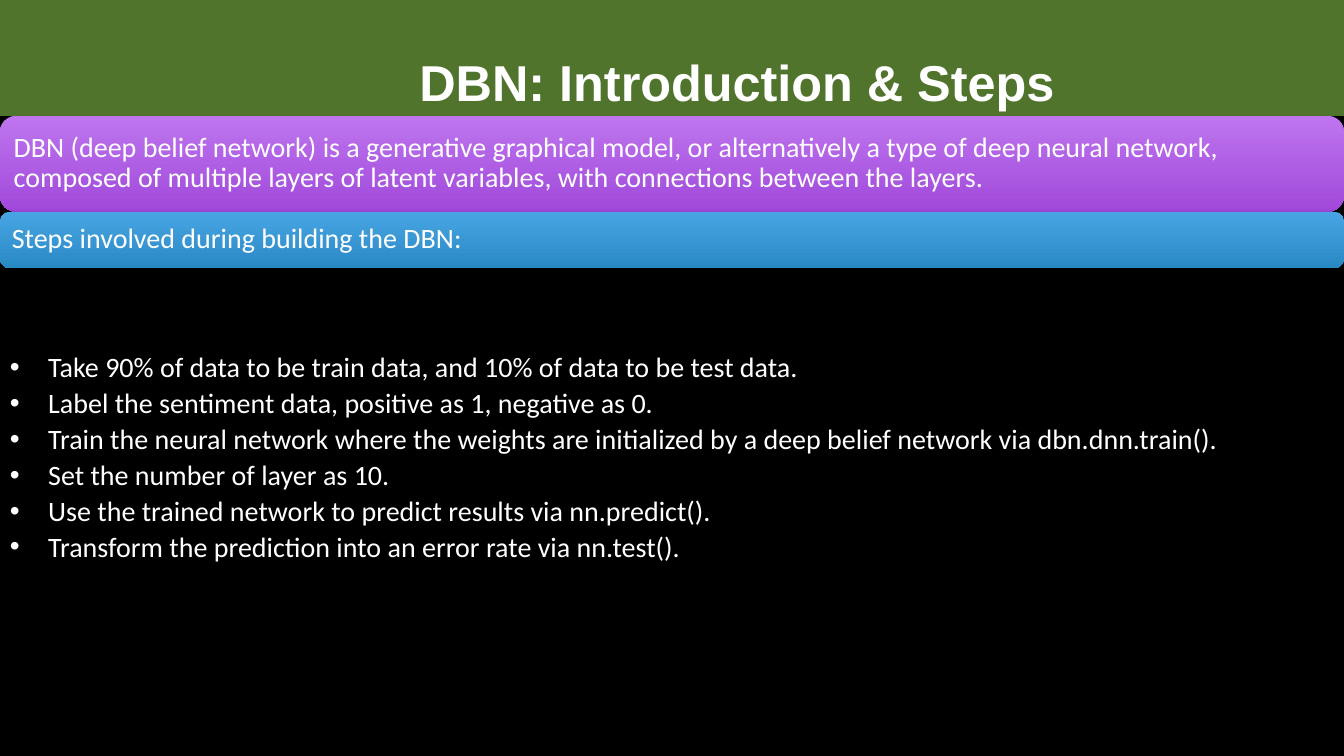
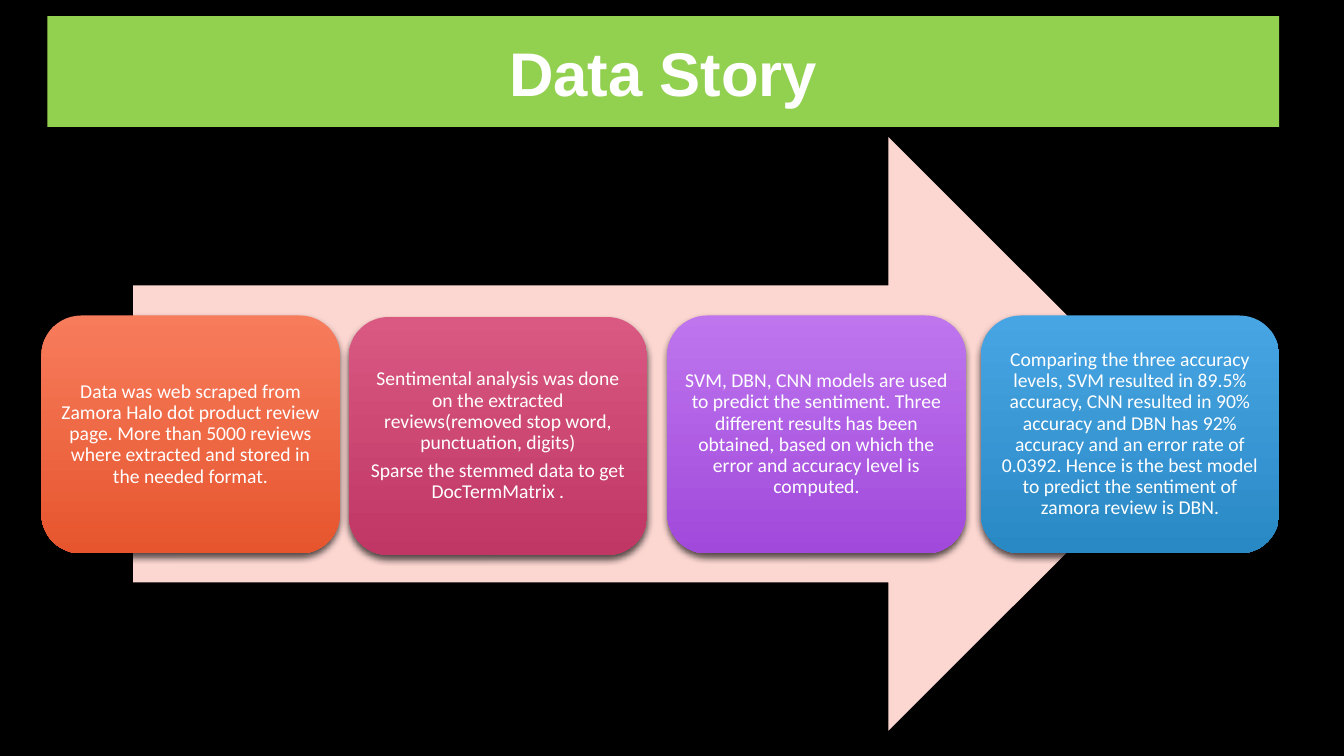
import pptx
import pptx.util
import pptx.dml.color
import pptx.enum.shapes
import pptx.enum.text
import pptx.oxml
import pptx.oxml.ns

Pt = pptx.util.Pt
Inches = pptx.util.Inches
RGB = pptx.dml.color.RGBColor.from_string
SHAPE = pptx.enum.shapes.MSO_SHAPE
ALIGN = pptx.enum.text.PP_ALIGN
ANCHOR = pptx.enum.text.MSO_ANCHOR

COLORS = {
    "background": "000000",
    "text": "FFFFFF",
    "green": "92D050",
    "dark green": "51742D",
    "arrow": "FCD6D1",
}
GRADIENTS = {
    "orange": ("F77C5C", "E6552E"),
    "pink": ("D95982", "C03665"),
    "purple": ("BE75EE", "A149DB"),
    "blue": ("48A5E3", "2989C5"),
}
SHADOW = (
    f'<a:effectLst {pptx.oxml.ns.nsdecls("a")}>'
    '<a:outerShdw blurRad="63500" dist="38100" dir="5400000" rotWithShape="0">'
    '<a:srgbClr val="000000"><a:alpha val="65000"/></a:srgbClr>'
    "</a:outerShdw></a:effectLst>"
)

presentation = pptx.Presentation()
presentation.slide_width = Inches(13.33)
presentation.slide_height = Inches(7.5)
column = presentation.slide_width / 100
row = presentation.slide_height / 100


def add_block(slide, kind, left, top, width, height, fill):
    shape = slide.shapes.add_shape(
        kind, int(left * column), int(top * row), int(width * column), int(height * row)
    )
    shape.line.fill.background()
    shape.shadow.inherit = False
    if fill in GRADIENTS:
        shape.fill.gradient()
        shape.fill.gradient_angle = 270
        for stop, color in zip(shape.fill.gradient_stops, GRADIENTS[fill]):
            stop.color.rgb = RGB(color)
        properties = shape._element.spPr
        properties.replace(
            properties.find(pptx.oxml.ns.qn("a:effectLst")), pptx.oxml.parse_xml(SHADOW)
        )
    else:
        shape.fill.solid()
        shape.fill.fore_color.rgb = RGB(COLORS[fill])
    return shape


def write(shape, lines, size, font="Calibri", bold=False, align=ALIGN.LEFT,
          anchor=ANCHOR.MIDDLE, inset=0.1, spacing=None, after=0):
    frame = shape.text_frame
    frame.word_wrap = True
    frame.vertical_anchor = anchor
    frame.margin_left = frame.margin_right = Inches(inset)
    frame.margin_top = frame.margin_bottom = Inches(min(inset, 0.05))
    frame.text = "\n".join(lines)
    for paragraph in frame.paragraphs:
        paragraph.alignment = align
        paragraph.line_spacing = spacing
        paragraph.space_after = Pt(after)
        paragraph.font.name = font
        paragraph.font.size = Pt(size)
        paragraph.font.bold = bold
        paragraph.font.color.rgb = RGB(COLORS["text"])
    return frame


slides = []
for number in range(2):
    slide = presentation.slides.add_slide(presentation.slide_layouts[6])
    slide.background.fill.solid()
    slide.background.fill.fore_color.rgb = RGB(COLORS["background"])
    slides.append(slide)
steps_slide, story_slide = slides

title_style = {"font": "Arial", "bold": True, "align": ALIGN.CENTER}

title = add_block(steps_slide, SHAPE.RECTANGLE, 0, 0, 100, 15.33, "dark green")
frame = write(title, ["DBN: Introduction & Steps"], 36, anchor=ANCHOR.TOP, inset=0, **title_style)
frame.margin_left = int(9.7 * column)
frame.margin_top = int(6.8 * row)

bands = [
    (15.33, 12.67, "purple",
     "DBN (deep belief network) is a generative graphical model, or alternatively a type of "
     "deep neural network, composed of multiple layers of latent variables, with connections "
     "between the layers."),
    (28, 7.47, "blue", "Steps involved during building the DBN:"),
]
for top, height, fill, text in bands:
    band = add_block(steps_slide, SHAPE.ROUNDED_RECTANGLE, 0, top, 100, height, fill)
    write(band, [text], 20, inset=0.09, spacing=0.9, after=7)

steps = [
    "Take 90% of data to be train data, and 10% of data to be test data.",
    "Label the sentiment data, positive as 1, negative as 0.",
    "Train the neural network where the weights are initialized by a deep belief network "
    "via dbn.dnn.train().",
    "Set the number of layer as 10.",
    "Use the trained network to predict results via nn.predict().",
    "Transform the prediction into an error rate via nn.test().",
]
step_list = steps_slide.shapes.add_textbox(
    0, int(46.13 * row), presentation.slide_width, int(30.13 * row)
)
frame = write(step_list, steps, 20, anchor=ANCHOR.TOP, spacing=0.9, after=4)
for paragraph in frame.paragraphs:
    properties = paragraph._p.get_or_add_pPr()
    properties.set("marL", str(Inches(0.38)))
    properties.set("indent", str(-Inches(0.38)))
    for tag, name, value in [("buFont", "typeface", "Arial"), ("buChar", "char", "•")]:
        bullet = pptx.oxml.parse_xml(
            f'<a:{tag} {pptx.oxml.ns.nsdecls("a")} {name}="{value}"/>'
        )
        properties.insert_element_before(bullet, "a:tabLst", "a:defRPr", "a:extLst")

add_block(story_slide, SHAPE.RIGHT_ARROW, 9.9, 18.13, 78.3, 78.53, "arrow")

stages = [
    (3.08, 41.73, "orange", [
        "Data was web scraped from Zamora Halo dot product review page. More than 5000 "
        "reviews where extracted and stored in the needed format."]),
    (25.95, 41.93, "pink", [
        "Sentimental analysis was done on the extracted reviews(removed stop word, "
        "punctuation, digits)",
        "Sparse the stemmed data to get DocTermMatrix ."]),
    (49.65, 41.73, "purple", [
        "SVM, DBN, CNN models are used to predict the sentiment. Three different results "
        "has been obtained, based on which the error and accuracy level is computed."]),
    (72.98, 41.73, "blue", [
        "Comparing the three accuracy levels, SVM resulted in 89.5% accuracy, CNN resulted "
        "in 90% accuracy and DBN has 92% accuracy and an error rate of 0.0392. Hence is the "
        "best model to predict the sentiment of zamora review is DBN."]),
]
for left, top, fill, lines in stages:
    stage = add_block(story_slide, SHAPE.ROUNDED_RECTANGLE, left, top, 22.2, 31.47, fill)
    write(stage, lines, 14, align=ALIGN.CENTER, inset=0.06, spacing=0.9, after=5)

title = add_block(story_slide, SHAPE.RECTANGLE, 3.53, 2.13, 91.65, 14.67, "green")
write(title, ["Data Story"], 44, **title_style)

presentation.save("out.pptx")
